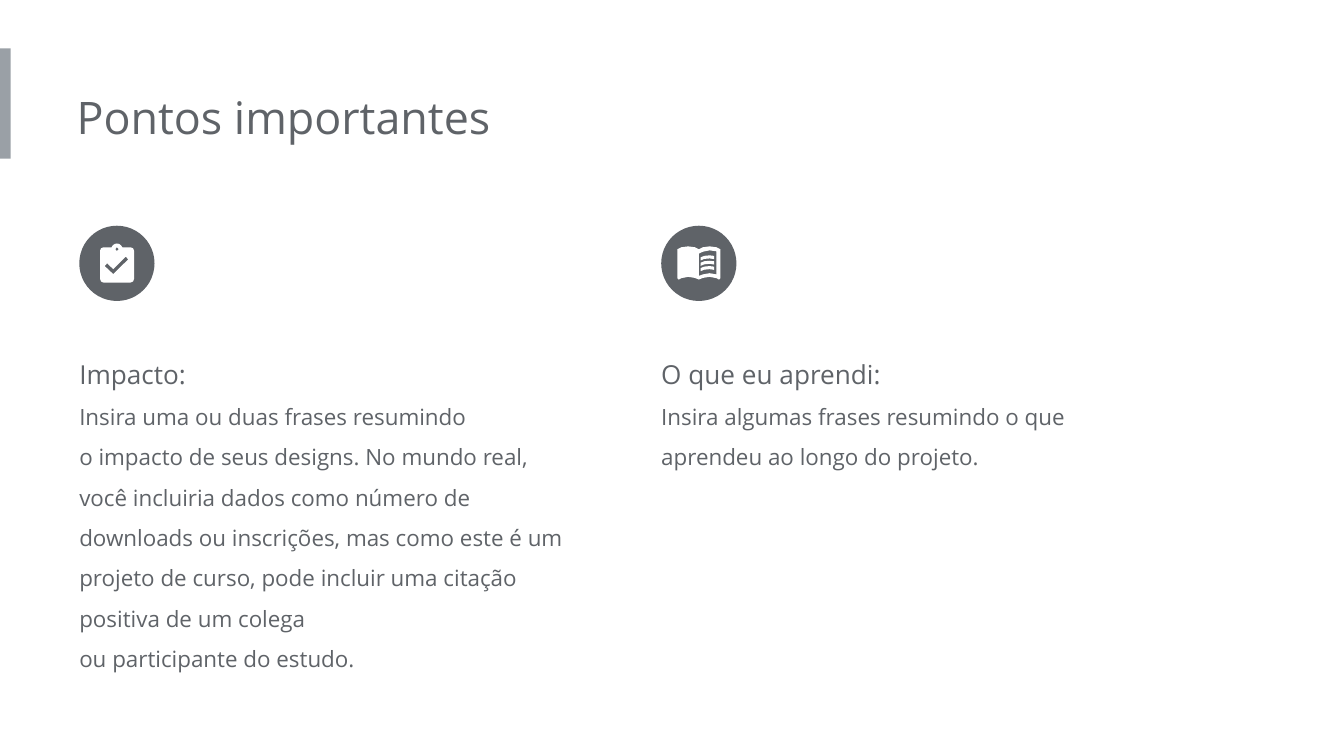
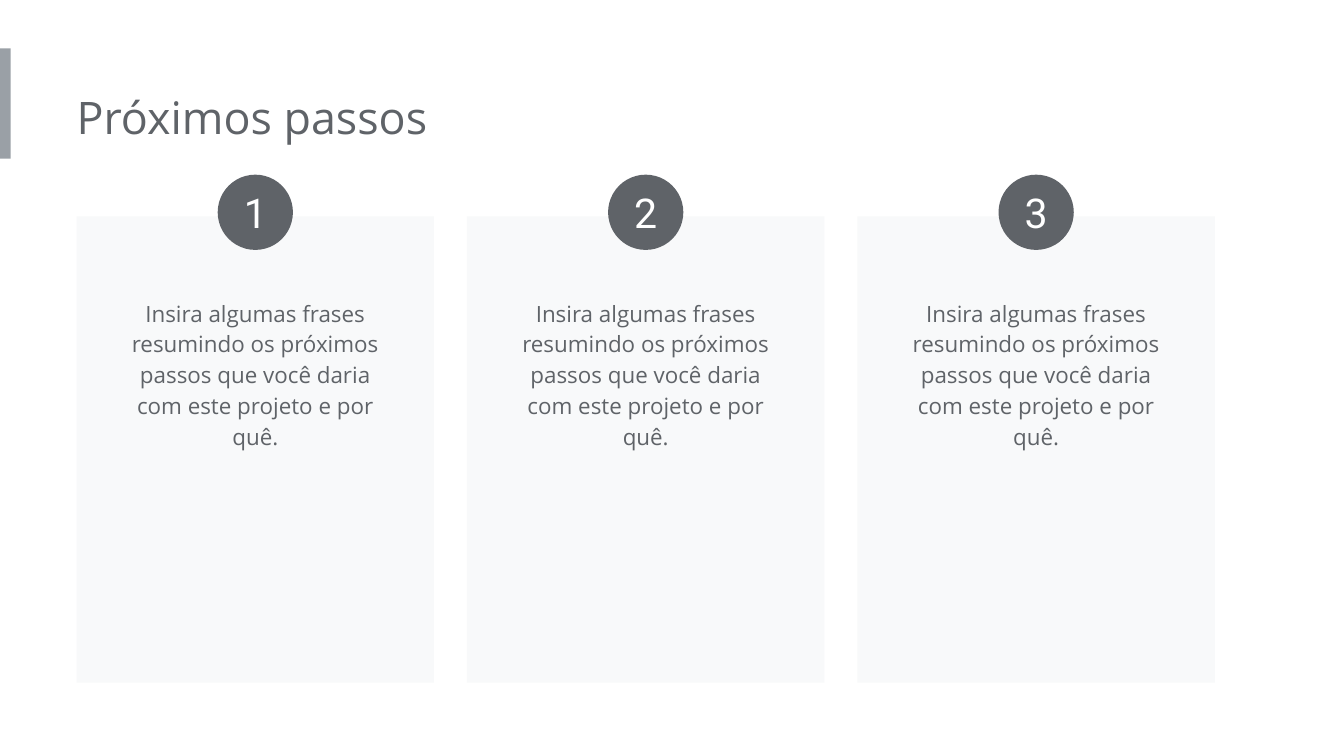
from copy import deepcopy

from pptx import Presentation
from pptx.dml.color import RGBColor
from pptx.enum.shapes import MSO_SHAPE as Shape
from pptx.enum.text import MSO_ANCHOR as Anchor, MSO_AUTO_SIZE as AutoSize, PP_ALIGN as Align
from pptx.oxml.ns import qn
from pptx.util import Inches, Pt

GREY, BAR, CARD, WHITE = "5F6368", "9AA0A6", "F8F9FA", "FFFFFF"
FONT, NUMBER_FONT = "Open Sans", "Roboto"
CIRCLE = 0.56

# Icon contours, in hundredths of an inch from the corner of the circle
CLIPBOARD = [
    [(38, 16), (32, 16), (31, 14.5), (29.5, 13.5), (28, 13.2), (26.5, 13.5),
     (25, 14.5), (24, 16), (18, 16), (16.2, 16.8), (15.4, 18.5), (15.4, 39.5),
     (16.2, 41.5), (18, 42.3), (38, 42.3), (40, 41.5), (40.7, 39.5),
     (40.7, 18.5), (40, 16.8)],
    [(28, 16), (29.3, 17.4), (28, 18.8), (26.7, 17.4)],
    [(25.3, 36), (18.9, 30), (20.7, 28), (25.3, 32.3), (34.6, 23), (36.4, 25)],
]
BOOK = [
    [(12, 17.5), (15, 16), (20, 15.3), (25, 16), (28, 17.5), (31, 16),
     (36, 15.3), (41, 16), (44, 17.5), (44, 39), (43, 40), (41, 39),
     (36, 38), (31, 38.8), (28, 40), (25, 38.8), (20, 38), (15, 39),
     (13, 40), (12, 39)],
    [(28, 20.7), (31, 19.3), (36, 18.3), (41, 19), (41, 36.2), (36, 35.3),
     (31, 36.2), (28, 37.3)],
]
BOOK_LINE = [(29.3, 23.5), (32, 22.4), (36, 22), (39.3, 22.4), (39.3, 24.8),
             (36, 24.3), (32, 24.7), (29.3, 25.8)]
BOOK_LINES = [[(x, y + 4 * row) for x, y in BOOK_LINE] for row in range(3)]


def color(value):
    return RGBColor.from_string(value)


def paint(shape, fill):
    shape.shadow.inherit = False
    shape.fill.solid()
    shape.fill.fore_color.rgb = color(fill)
    shape.line.fill.background()


def add_block(slide, kind, left, top, width, height, fill):
    shape = slide.shapes.add_shape(
        kind, Inches(left), Inches(top), Inches(width), Inches(height))
    paint(shape, fill)
    return shape


def write(paragraph, text, size, font=FONT, ink=GREY, spacing=None, align=None):
    paragraph.text = text
    paragraph.line_spacing = spacing
    paragraph.alignment = align
    for run in paragraph.runs:
        run.font.size = Pt(size)
        run.font.name = font
        run.font.color.rgb = color(ink)
    # Line breaks take the size of the text around them
    for line_break in paragraph._p.findall(qn("a:br")):
        line_break.insert(0, deepcopy(paragraph.runs[0].font._element))


def add_text_box(slide, left, top, width, height, inset=0):
    box = slide.shapes.add_textbox(
        Inches(left), Inches(top), Inches(width), Inches(height))
    frame = box.text_frame
    frame.word_wrap = True
    frame.auto_size = AutoSize.SHAPE_TO_FIT_TEXT
    frame.margin_left = Inches(inset)
    frame.margin_top = frame.margin_right = frame.margin_bottom = Inches(0.1)
    return frame


def add_outline(shapes, left, top, contours):
    """Draw one white shape; inner contours are cut out."""
    def scaled(contour):
        return [(x * 10, y * 10) for x, y in contour]

    first, *others = map(scaled, contours)
    builder = shapes.build_freeform(*first[0], scale=Inches(1) / 1000)
    builder.add_line_segments(first[1:], close=True)
    for contour in others:
        builder.move_to(*contour[0])
        builder.add_line_segments(contour[1:], close=True)
    paint(builder.convert_to_shape(Inches(left), Inches(top)), WHITE)


def add_titled_slide(presentation, title):
    slide = presentation.slides.add_slide(presentation.slide_layouts[6])
    slide.background.fill.solid()
    slide.background.fill.fore_color.rgb = color(WHITE)
    add_block(slide, Shape.RECTANGLE, 0, 0.36, 0.08, 0.82, BAR)
    frame = add_text_box(slide, 0.57, 0.57, 5.39, 0.61)
    write(frame.paragraphs[0], title, 24)
    return slide


def add_clipboard(slide, left, top):
    add_outline(slide.shapes, left, top, CLIPBOARD)


def add_book(slide, left, top):
    group = slide.shapes.add_group_shape()
    add_outline(group.shapes, left, top, BOOK)
    for line in BOOK_LINES:
        add_outline(group.shapes, left, top, [line])


def add_takeaway(slide, left, top, height, heading, body, add_icon):
    frame = add_text_box(slide, left, top + 0.77, 3.77, height)
    write(frame.paragraphs[0], heading, 14, spacing=1.5)
    write(frame.add_paragraph(), body, 12, spacing=1.5)
    add_block(slide, Shape.OVAL, left, top, CIRCLE, CIRCLE, GREY)
    add_icon(slide, left, top)


def add_step(slide, left, top, width, height, number, text):
    # Card and its text
    add_block(slide, Shape.RECTANGLE, left, top, width, height, CARD)
    frame = add_text_box(slide, left + 0.21, top + 0.49, width - 0.42, 1.13, inset=0.1)
    write(frame.paragraphs[0], text, 12, spacing=1.15, align=Align.CENTER)
    # Number on the top edge
    badge = add_block(slide, Shape.OVAL, left + (width - CIRCLE) / 2, top - 0.31,
                      CIRCLE, CIRCLE, GREY)
    frame = badge.text_frame
    frame.margin_left = frame.margin_right = frame.margin_top = frame.margin_bottom = 0
    frame.vertical_anchor = Anchor.MIDDLE
    write(frame.paragraphs[0], str(number), 22, NUMBER_FONT, WHITE, align=Align.CENTER)


def build_takeaways(presentation):
    slide = add_titled_slide(presentation, "Pontos importantes")
    add_takeaway(
        slide, 0.59, 1.68, 2.27, "Impacto:",
        "Insira uma ou duas frases resumindo \n"
        "o impacto de seus designs. No mundo real, você incluiria dados como "
        "número de downloads ou inscrições, mas como este é um projeto de curso, "
        "pode incluir uma citação positiva de um colega \n"
        "ou participante do estudo.", add_clipboard)
    add_takeaway(
        slide, 4.92, 1.68, 1.06, "O que eu aprendi:",
        "Insira algumas frases resumindo o que aprendeu ao longo do projeto.", add_book)


def build_next_steps(presentation):
    slide = add_titled_slide(presentation, "Próximos passos")
    left, right, width, count = 0.57, 9.04, 2.66, 3
    step = (right - left - width) / (count - 1)
    for index in range(count):
        add_step(slide, left + index * step, 1.61, width, 3.47, index + 1,
                 "Insira algumas frases resumindo os próximos passos que você "
                 "daria com este projeto e por quê.")


def main():
    presentation = Presentation()
    # Widescreen, 16:9
    presentation.slide_width = Inches(10)
    presentation.slide_height = Inches(10 * 9 / 16)
    build_takeaways(presentation)
    build_next_steps(presentation)
    presentation.save("out.pptx")


if __name__ == "__main__":
    main()
